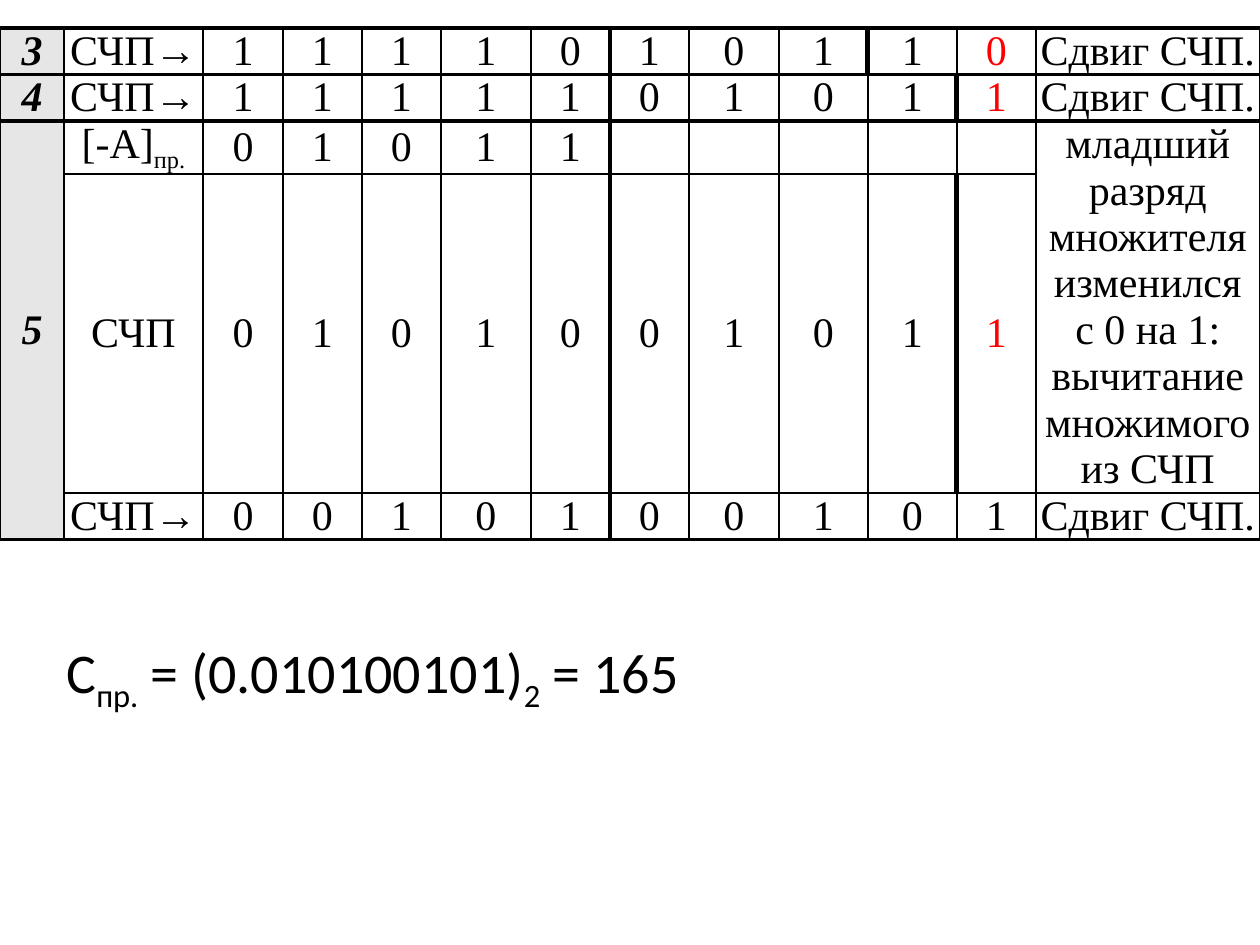
from dataclasses import dataclass

from lxml import etree
from pptx import Presentation
from pptx.dml.color import RGBColor
from pptx.enum.text import MSO_ANCHOR, PP_ALIGN
from pptx.oxml.ns import qn
from pptx.util import Emu, Pt

PX = 914400 // 126
MIDDLE, TOP = MSO_ANCHOR.MIDDLE, MSO_ANCHOR.TOP
CENTER, LEFT = PP_ALIGN.CENTER, PP_ALIGN.LEFT
COLORS = {"ink": "000000", "red": "FF0000", "step": "E6E6E6"}

COLUMN_WIDTHS = [64, 139, 80, 79, 79, 90, 79, 79, 90, 89, 89, 79, 224]
THIN, THICK, MARKER = 1.5, 2.25, 3
ROW_EDGES = [THICK, THICK, THICK, THIN, THIN, THICK]
REGISTER_EDGE = 7  # column edge between the two halves of the register
FIRST_BIT, LAST_BIT, NOTE = 2, 11, 12
SHIFT = "Сдвиг СЧП."
SUBTRACTION = ("младший разряд множителя изменился с 0 на 1: "
               "вычитание множимого из СЧП")


@dataclass
class Step:
    number: str
    label: str
    bits: str
    note: str
    height: int
    marker_edge: int = -1
    red_last_bit: bool = False


STEPS = [
    Step("3", "СЧП→", "1111010110", SHIFT, 46, 10, True),
    Step("4", "СЧП→", "1111101011", SHIFT, 46, 11, True),
    Step("5", "[-A]_пр._", "01011", SUBTRACTION, 52),
    Step("", "СЧП", "0101001011", "", 319, 11, True),
    Step("", "СЧП→", "0010100101", SHIFT, 46),
]


def px(length: int) -> Emu:
    return Emu(length * PX)


def write(frame, text: str, *, font: str, size: int, color: str = "ink",
          bold: bool = False, italic: bool = False, align=LEFT) -> None:
    """Fill a text frame; text between underscores becomes a subscript."""
    paragraph = frame.paragraphs[0]
    paragraph.alignment = align
    for index, part in enumerate(text.split("_")):
        if not part:
            continue
        run = paragraph.add_run()
        run.text = part
        run.font.name, run.font.size = font, Pt(size)
        run.font.bold, run.font.italic = bold, italic
        run.font.color.rgb = RGBColor.from_string(COLORS[color])
        if index % 2:
            run.font._element.set("baseline", "-25000")


def set_borders(cell, widths: dict[str, float]) -> None:
    properties = cell._tc.get_or_add_tcPr()
    for position, (side, width) in enumerate(widths.items()):
        line = etree.Element(qn(f"a:ln{side}"), w=str(Pt(width)))
        fill = etree.SubElement(line, qn("a:solidFill"))
        etree.SubElement(fill, qn("a:srgbClr"), val=COLORS["ink"])
        properties.insert(position, line)


def column_edge(step: Step, edge: int) -> float:
    if edge == step.marker_edge:
        return MARKER
    return THICK if edge == REGISTER_EDGE else THIN


def format_cell(cell, row: int, column: int) -> None:
    step = STEPS[row]
    is_step = column == 0
    cell.margin_left = cell.margin_right = px(4)
    cell.margin_top = cell.margin_bottom = 0
    cell.vertical_anchor = TOP if column == 1 and "_" in step.label else MIDDLE
    if is_step:
        cell.fill.solid()
        cell.fill.fore_color.rgb = RGBColor.from_string(COLORS["step"])
    else:
        cell.fill.background()
    if cell.is_spanned:
        return
    texts = [step.number, step.label, *step.bits.ljust(10), step.note]
    is_red = step.red_last_bit and column == LAST_BIT
    write(cell.text_frame, texts[column].strip(), font="Times New Roman",
          size=24, color="red" if is_red else "ink", bold=is_step,
          italic=is_step, align=CENTER)
    set_borders(cell, {
        "L": column_edge(step, column),
        "R": column_edge(step, column + 1),
        "T": ROW_EDGES[row],
        "B": ROW_EDGES[row + cell.span_height if cell.is_merge_origin
                       else row + 1],
    })


def add_steps_table(slide) -> None:
    table = slide.shapes.add_table(
        len(STEPS), len(COLUMN_WIDTHS), 0, px(28), px(sum(COLUMN_WIDTHS)),
        px(sum(step.height for step in STEPS))).table
    table.first_row = table.horz_banding = False
    for column, width in zip(table.columns, COLUMN_WIDTHS):
        column.width = px(width)
    for row, step in zip(table.rows, STEPS):
        row.height = px(step.height)
    table.cell(2, 0).merge(table.cell(4, 0))
    table.cell(2, NOTE).merge(table.cell(3, NOTE))
    for row in range(len(STEPS)):
        for column in range(len(COLUMN_WIDTHS)):
            format_cell(table.cell(row, column), row, column)


def add_result(slide) -> None:
    result = slide.shapes.add_textbox(px(54), px(631), px(843), px(149))
    result.text_frame.word_wrap = True
    write(result.text_frame, "С_пр._ = (0.010100101)_2_ = 165",
          font="Calibri", size=32)


def main() -> None:
    presentation = Presentation()
    presentation.slide_width, presentation.slide_height = px(1260), px(945)
    slide = presentation.slides.add_slide(presentation.slide_layouts[6])
    add_steps_table(slide)
    add_result(slide)
    presentation.save("out.pptx")


if __name__ == "__main__":
    main()
